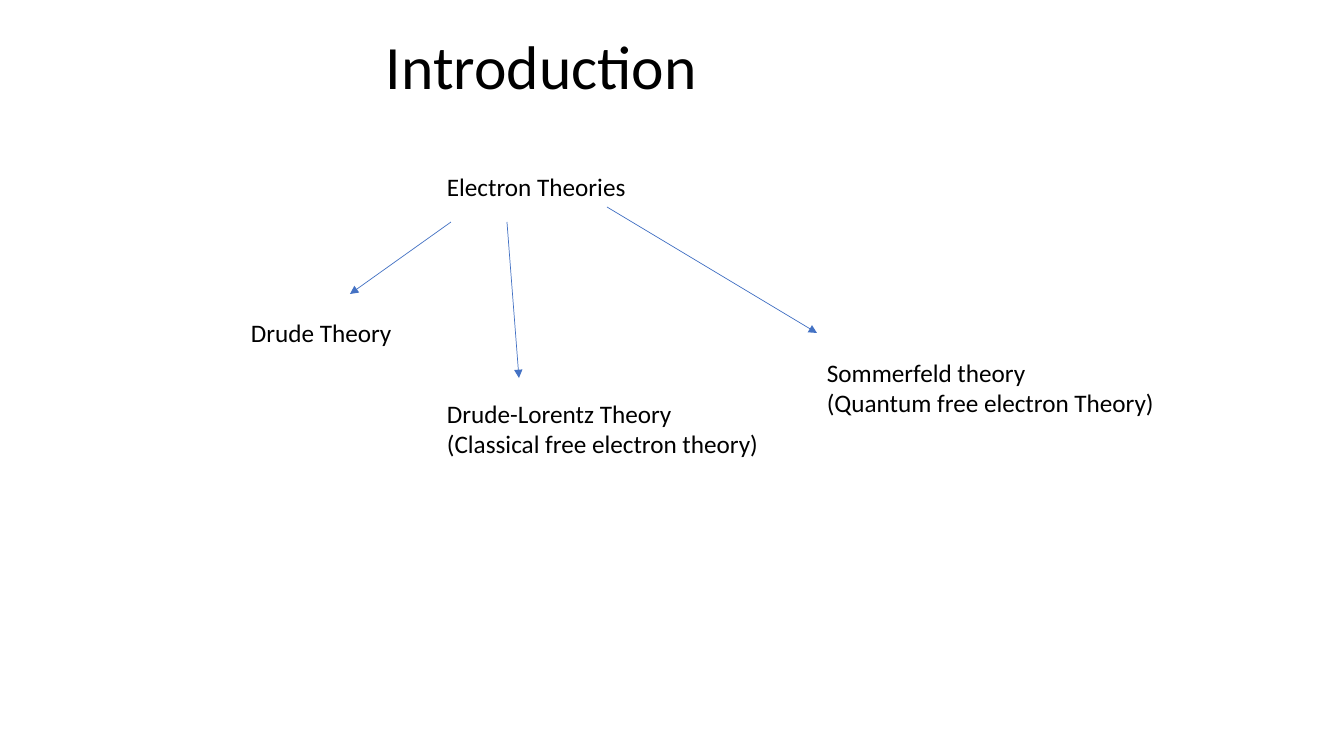
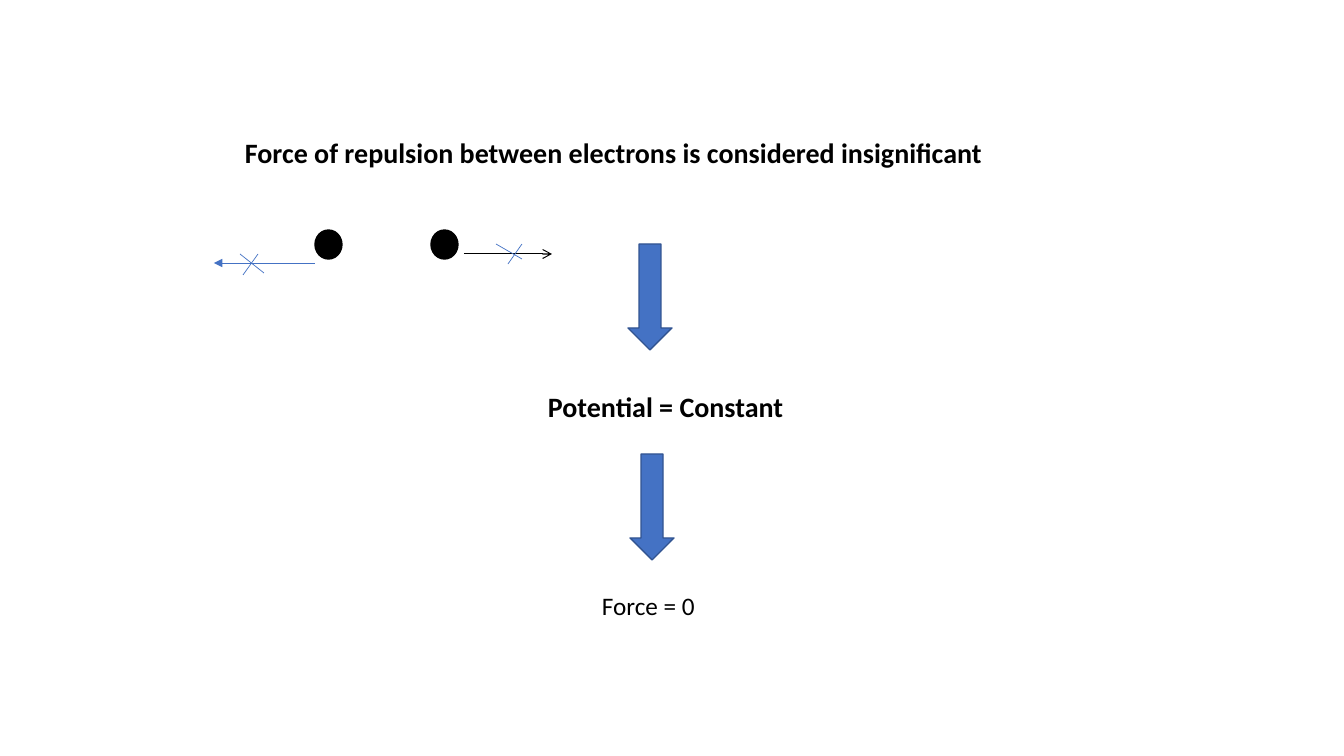
from pptx import Presentation
from pptx.dml.color import RGBColor
from pptx.enum.shapes import MSO_CONNECTOR, MSO_SHAPE
from pptx.enum.text import MSO_ANCHOR as ANCHOR, MSO_AUTO_SIZE as AUTO
from pptx.oxml.ns import qn
from pptx.util import Emu, Pt
from lxml.etree import SubElement

COLORS = {"text": "000000", "blue": "4472C4", "edge": "325491"}
FONT = "Calibri"
STYLES = {
    "title": {"size": Pt(44), "bold": False},
    "strong": {"size": Pt(20), "bold": True},
    "body": {"size": Pt(18), "bold": False},
}


def px(n):
    """Turn pixels into EMU."""
    return Emu(round(n * 914400 / 100.8))


def rgb(name):
    """Look up a colour by name."""
    return RGBColor.from_string(COLORS[name])


class Deck:
    """Holds the presentation, its style and the current slide."""

    def __init__(self):
        """Start an empty wide presentation."""
        self.prs = Presentation()
        self.prs.slide_width, self.prs.slide_height = px(1344), px(756)
        self.shapes = None

    def new_slide(self):
        """Add a blank slide and make it current."""
        self.shapes = self.prs.slides.add_slide(self.prs.slide_layouts[6]).shapes

    def text(self, box, lines, style="body"):
        """Add a text box with one paragraph per line."""
        tf = self.shapes.add_textbox(*map(px, box)).text_frame
        frame = {"word_wrap": False, "auto_size": AUTO.SHAPE_TO_FIT_TEXT}
        for name, value in frame.items():
            setattr(tf, name, value)
        for i, line in enumerate(lines):
            p = tf.add_paragraph() if i else tf.paragraphs[0]
            r = p.add_run()
            r.text = line
            for name, value in {"name": FONT, **STYLES[style]}.items():
                setattr(r.font, name, value)
            r.font.color.rgb = rgb("text")
        return tf

    def title(self, box, line):
        """Add a slide title, centred vertically in its box."""
        tf = self.text(box, [line], "title")
        frame = {"word_wrap": True, "auto_size": AUTO.NONE,
                 "vertical_anchor": ANCHOR.MIDDLE}
        for name, value in frame.items():
            setattr(tf, name, value)
        tf.paragraphs[0].line_spacing = 0.9

    def line(self, start, end, head=None, color="blue", width=0.5):
        """Add a straight line, with an arrowhead at its end if named."""
        sp = self.shapes.add_connector(
            MSO_CONNECTOR.STRAIGHT, *map(px, (*start, *end)))
        sp.line.color.rgb = rgb(color)
        sp.line.width = Pt(width)
        if head:
            SubElement(sp.line._get_or_add_ln(), qn("a:tailEnd"), type=head)
        SubElement(sp._element.spPr, qn("a:effectLst"))

    def shape(self, kind, box, fill, edge, rotation=0):
        """Add a filled and outlined preset shape."""
        sp = self.shapes.add_shape(kind, *map(px, box))
        sp.shadow.inherit = False
        sp.rotation = rotation
        sp.fill.solid()
        sp.fill.fore_color.rgb = rgb(fill)
        sp.line.color.rgb = rgb(edge)
        sp.line.width = Pt(1)

    def electron(self, left):
        """Add an electron dot."""
        self.shape(MSO_SHAPE.OVAL, (left, 230, 27, 29), "text", "text")

    def down_arrow(self, left, top):
        """Add a block arrow turned to point down."""
        self.shape(MSO_SHAPE.RIGHT_ARROW, (left, top, 106, 44),
                   "blue", "edge", 90)


def theories_slide(deck):
    """Build the tree of electron theories."""
    deck.new_slide()
    deck.title((376, -3, 336, 146), "Introduction")
    deck.text((437, 166, 201, 40), ["Electron Theories"])
    branches = [
        ((451, 222), (350, 294), (241, 312, 162, 40), ["Drude Theory"]),
        ((507, 222), (519, 378), (437, 393, 336, 72),
         ["Drude-Lorentz Theory", "(Classical free electron theory)"]),
        ((607, 207), (817, 333), (817, 352, 352, 72),
         ["Sommerfeld theory", "(Quantum free electron Theory)"]),
    ]
    for start, end, box, lines in branches:
        deck.line(start, end, "triangle")
        deck.text(box, lines)


def repulsion_slide(deck):
    """Build the chain from no repulsion to zero force."""
    deck.new_slide()
    deck.text((235, 131, 764, 44),
              ["Force of repulsion between electrons is considered insignificant"],
              "strong")
    for left in (315, 431):
        deck.electron(left)
    deck.line((464, 254), (552, 254), "arrow", "text", 0.75)
    deck.line((315, 263), (214, 263), "triangle")
    cross_strokes = [
        ((240, 254), (264, 273)), ((258, 254), (243, 275)),
        ((496, 244), (522, 259)), ((522, 244), (508, 264)),
    ]
    for start, end in cross_strokes:
        deck.line(start, end)
    deck.down_arrow(597, 275)
    deck.text((538, 385, 257, 44), ["Potential = Constant"], "strong")
    deck.down_arrow(599, 485)
    deck.text((592, 585, 114, 40), ["Force = 0"])


deck = Deck()
theories_slide(deck)
repulsion_slide(deck)
deck.prs.save("out.pptx")
